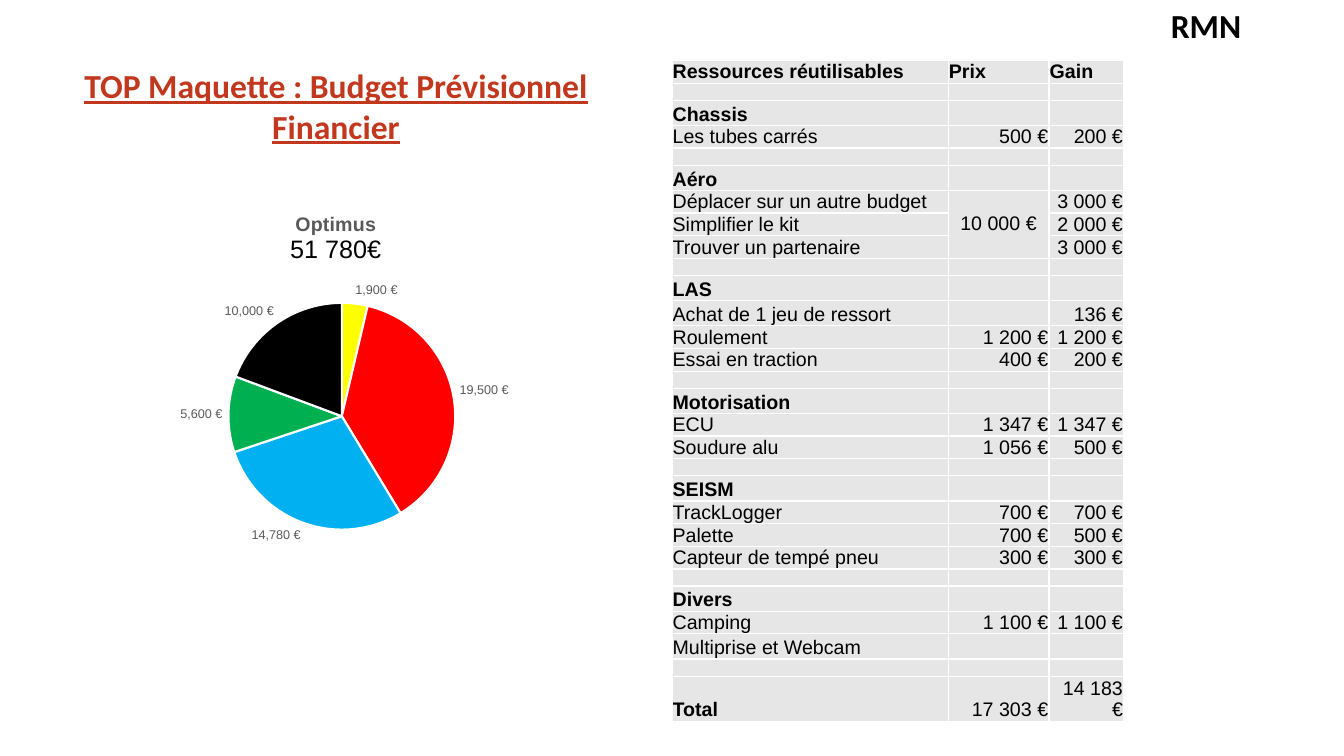
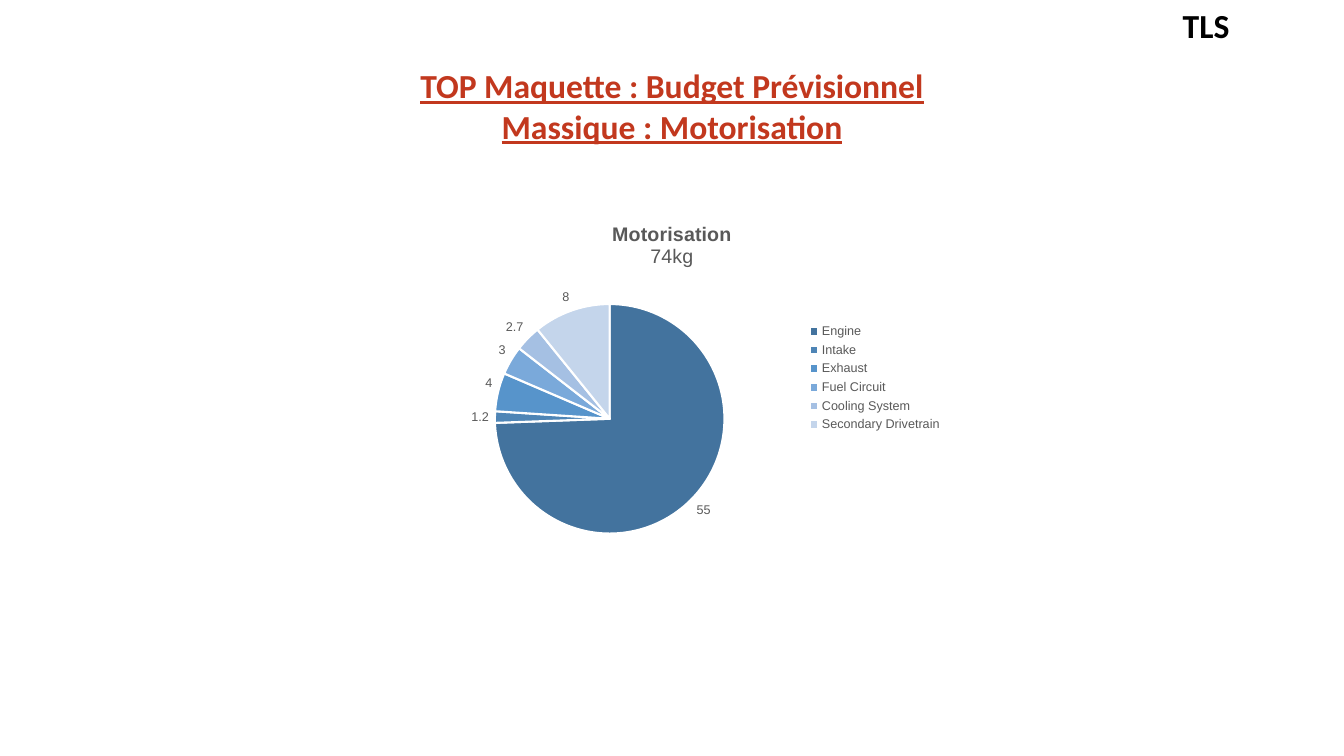
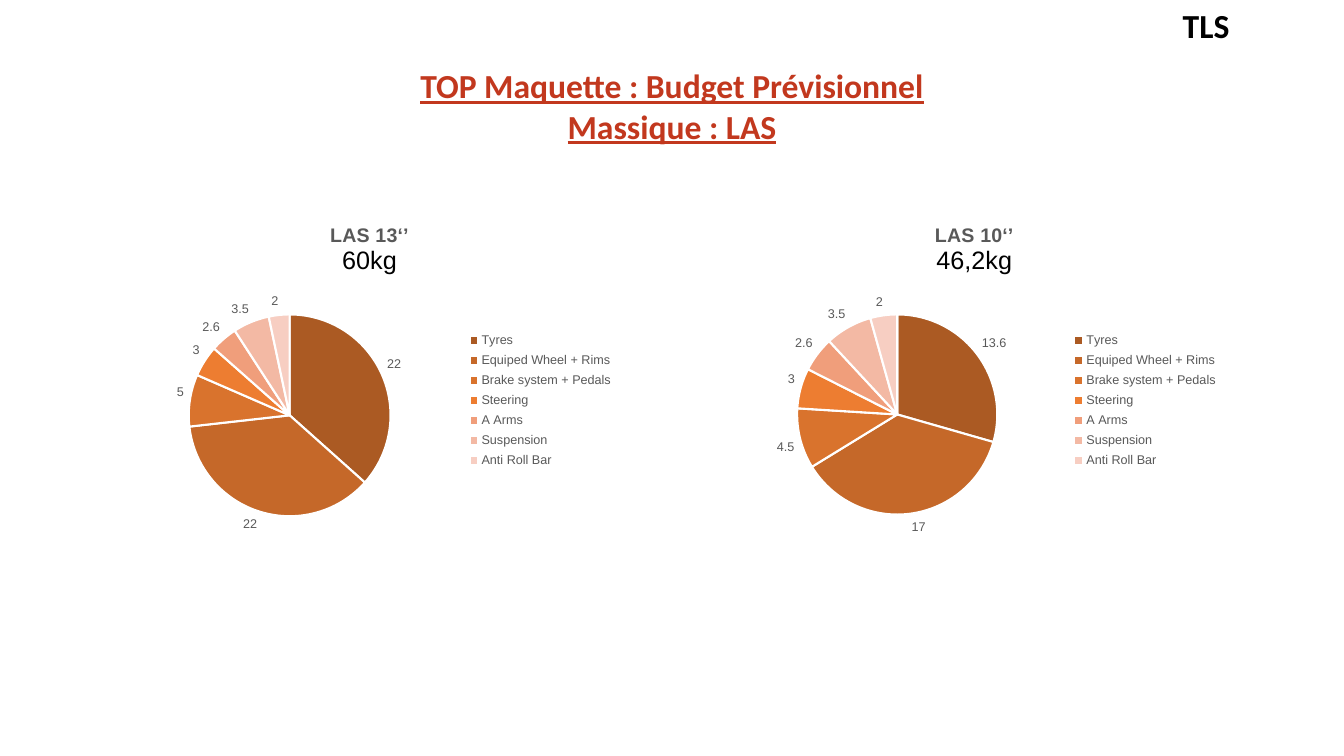
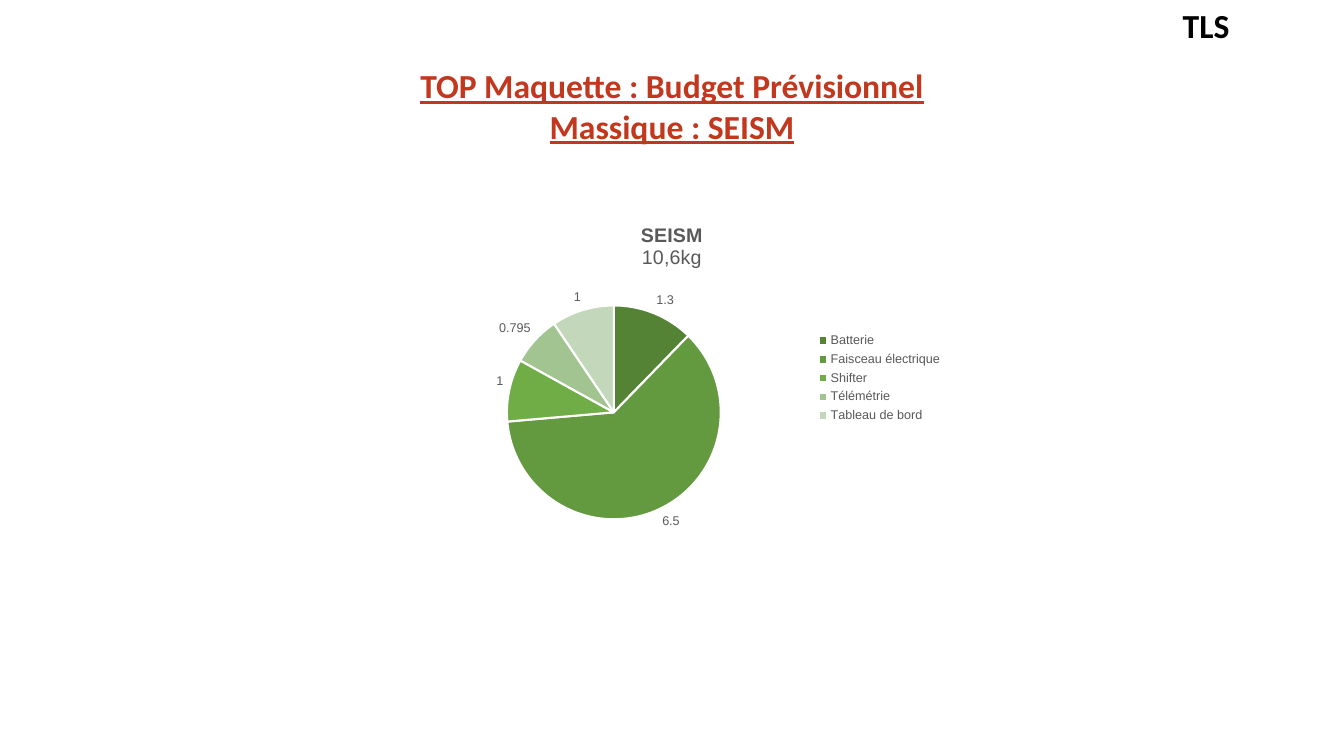
from pptx import Presentation
from pptx.chart.data import CategoryChartData
from pptx.dml.color import RGBColor
from pptx.enum import chart as charts, text
from pptx.oxml import parse_xml
from pptx.oxml.ns import nsdecls, qn
from pptx.util import Pt

WHITE = RGBColor(0xFF, 0xFF, 0xFF)
BLACK = RGBColor(0, 0, 0)
RED = RGBColor(0xC2, 0x38, 0x1E)
GREY = RGBColor(0x59, 0x59, 0x59)
CELL_GREY = RGBColor(0xE6, 0xE6, 0xE6)

BUDGET_COLORS = [RGBColor.from_string(c) for c in "FFFF00 FF0000 00B0F0 00B050 000000".split()]
BLUES = [RGBColor.from_string(c) for c in "43739E 4E85B6 5794CB 7AA9DA A5C0E3 C4D5EB".split()]
ORANGES = [RGBColor.from_string(c)
           for c in "AB5A23 C56829 D9732D ED7D31 F09E7B F3B9A4 F7CEC2".split()]
GREENS = [RGBColor.from_string(c) for c in "558336 639A3F 70AD47 A1C490 C3D8BB".split()]

SLIDE_WIDTH, SLIDE_HEIGHT = 960, 540
TITLE_FONT = {"name": "Calibri", "size": Pt(24), "bold": True}
CELL_FONT = {"name": "Arial", "size": Pt(14), "color": BLACK}
CELL_LINE = 15.4
CHART_HEADING = {"name": "Arial", "size": Pt(14), "bold": True, "color": GREY}
CHART_TOTAL = {**CHART_HEADING, "bold": False}
LARGE_TOTAL = {**CHART_TOTAL, "size": Pt(18), "color": BLACK}
LABEL_FONT = {"name": "Arial", "size": Pt(9), "color": GREY}

BLANK = ("", "", "")
MERGED = None  # continues the cell above
RESOURCES = [
    ("Ressources réutilisables", "Prix", "Gain"), BLANK,
    ("Chassis", "", ""),
    ("Les tubes carrés", "500 €", "200 €"), BLANK,
    ("Aéro", "", ""),
    ("Déplacer sur un autre budget", "10 000 €", "3 000 €"),
    ("Simplifier le kit", MERGED, "2 000 €"),
    ("Trouver un partenaire", MERGED, "3 000 €"), BLANK,
    ("LAS", "", ""),
    ("Achat de 1 jeu de ressort", "", "136 €"),
    ("Roulement", "1 200 €", "1 200 €"),
    ("Essai en traction", "400 €", "200 €"), BLANK,
    ("Motorisation", "", ""),
    ("ECU", "1 347 €", "1 347 €"),
    ("Soudure alu", "1 056 €", "500 €"), BLANK,
    ("SEISM", "", ""),
    ("TrackLogger", "700 €", "700 €"),
    ("Palette", "700 €", "500 €"),
    ("Capteur de tempé pneu", "300 €", "300 €"), BLANK,
    ("Divers", "", ""),
    ("Camping", "1 100 €", "1 100 €"),
    ("Multiprise et Webcam", "", ""), BLANK,
    ("Total", "17 303 €", "14 183 €"),
]
BOLD_CELLS = {"Ressources réutilisables", "Prix", "Gain", "Chassis", "Aéro", "LAS",
              "Motorisation", "SEISM", "Divers", "Total"}
ENGINE_PARTS = ["Engine", "Intake", "Exhaust", "Fuel Circuit", "Cooling System",
                "Secondary Drivetrain"]
LAS_PARTS = ["Tyres", "Equiped Wheel + Rims", "Brake system + Pedals", "Steering", "A Arms",
             "Suspension", "Anti Roll Bar"]
SEISM_PARTS = ["Batterie", "Faisceau électrique", "Shifter", "Télémétrie", "Tableau de bord"]


def set_font(font, style):
    for name, value in style.items():
        if name == "color":
            font.color.rgb = value
        else:
            setattr(font, name, value)


def row_height(row):
    if row[0] == "Total":
        return 32.2
    if row == BLANK:
        return 12.2
    return 18 if "" in row else 16.2


def manual_layout(chart_box, part_box, target=""):
    """Place a chart part, given in slide points, as fractions of its chart."""
    left, top, width, height = chart_box
    part_left, part_top, part_width, part_height = part_box
    fractions = {"x": (part_left - left) / width, "y": (part_top - top) / height,
                 "w": part_width / width, "h": part_height / height}
    sizes = "".join(f'<c:{key} val="{value:.4f}"/>' for key, value in fractions.items())
    return parse_xml(
        f'<c:layout {nsdecls("c")}><c:manualLayout>{target}'
        f'<c:xMode val="edge"/><c:yMode val="edge"/>{sizes}</c:manualLayout></c:layout>')


class Deck:
    def __init__(self):
        self.presentation = Presentation()
        self.presentation.slide_width = Pt(SLIDE_WIDTH)
        self.presentation.slide_height = Pt(SLIDE_HEIGHT)
        self.slide = None

    def add_slide(self, subtitle, owner, title_width=SLIDE_WIDTH):
        self.slide = self.presentation.slides.add_slide(self.presentation.slide_layouts[6])
        self.text_box((0, 43, title_width, 65.5),
                      ["TOP Maquette : Budget Prévisionnel", subtitle],
                      {**TITLE_FONT, "underline": True, "color": RED})
        self.text_box((828.7, 0, 65.5, 36), [owner], {**TITLE_FONT, "color": BLACK})

    def text_box(self, box, lines, style):
        frame = self.slide.shapes.add_textbox(*map(Pt, box)).text_frame
        frame.word_wrap = True
        self.write_lines(frame, [(line, style) for line in lines])

    def write_lines(self, frame, lines):
        for index, (line, style) in enumerate(lines):
            paragraph = frame.paragraphs[0] if index == 0 else frame.add_paragraph()
            paragraph.alignment = text.PP_ALIGN.CENTER
            run = paragraph.add_run()
            run.text = line
            set_font(run.font, style)

    def pie(self, box, disc, title, values, colors, categories=None,
            total_style=CHART_TOTAL, number_format="General", legend_box=None):
        """Draw a pie; disc is the left, top and diameter of the circle on the slide."""
        data = CategoryChartData()
        data.categories = categories or [str(i + 1) for i in range(len(values))]
        data.add_series("Series 1", values)
        chart = self.slide.shapes.add_chart(
            charts.XL_CHART_TYPE.PIE, *map(Pt, box), data).chart
        set_font(chart.font, {"name": "Arial", "size": Pt(10), "color": BLACK})
        chart.has_title = True
        self.write_lines(chart.chart_title.text_frame,
                         zip(title, (CHART_HEADING, total_style)))
        chart.chart_title.include_in_layout = False
        chart.has_legend = categories is not None
        if chart.has_legend:
            self.style_legend(chart.legend, box, legend_box)

        pie = chart.plots[0]
        pie.vary_by_categories = True
        pie.has_data_labels = True
        labels = pie.data_labels
        for name, value in {"show_value": True, "show_percentage": False,
                            "position": charts.XL_LABEL_POSITION.OUTSIDE_END,
                            "number_format": number_format,
                            "number_format_is_linked": False}.items():
            setattr(labels, name, value)
        set_font(labels.font, LABEL_FONT)
        for body in labels._element.iter(qn("a:bodyPr")):
            body.set("wrap", "square")
        for index, color in enumerate(colors):
            slice_format = pie.series[0].points[index].format
            slice_format.fill.solid()
            slice_format.fill.fore_color.rgb = color
            slice_format.line.color.rgb = WHITE
            slice_format.line.width = Pt(1.5)

        left, top, diameter = disc
        area = chart._chartSpace.chart.plotArea
        for layout in area.findall(qn("c:layout")):
            area.remove(layout)
        area.insert(0, manual_layout(box, (left, top, diameter, diameter),
                                     '<c:layoutTarget val="inner"/>'))

    def style_legend(self, legend, chart_box, legend_box):
        legend.position = charts.XL_LEGEND_POSITION.RIGHT
        legend.include_in_layout = False
        set_font(legend.font, LABEL_FONT)
        if legend_box:
            element = legend._element
            for layout in element.findall(qn("c:layout")):
                element.remove(layout)
            element.find(qn("c:legendPos")).addnext(manual_layout(chart_box, legend_box))

    def table(self, left, top, widths, rows):
        heights = [row_height(row) for row in rows]
        table = self.slide.shapes.add_table(
            len(rows), len(widths), Pt(left), Pt(top), Pt(sum(widths)), Pt(sum(heights))).table
        table.first_row = table.horz_banding = False
        for column, width in zip(table.columns, widths):
            column.width = Pt(width)
        for r, (row, height) in enumerate(zip(rows, heights)):
            table.rows[r].height = Pt(height)
            for c, value in enumerate(row):
                self.fill_cell(table.cell(r, c), value, c > 0 and r > 0)
        for c in range(len(widths)):
            merged = [r for r, row in enumerate(rows) if row[c] is MERGED]
            if merged:
                origin = table.cell(merged[0] - 1, c)
                origin.merge(table.cell(merged[-1], c))
                origin.vertical_anchor = text.MSO_ANCHOR.MIDDLE
                origin.text_frame.paragraphs[0].alignment = text.PP_ALIGN.CENTER

    def fill_cell(self, cell, value, is_amount):
        for name, margin in {"left": 0.5, "right": 0.5, "top": 0, "bottom": 0}.items():
            setattr(cell, f"margin_{name}", Pt(margin))
        cell.vertical_anchor = text.MSO_ANCHOR.BOTTOM
        paragraph = cell.text_frame.paragraphs[0]
        if value:
            paragraph.alignment = text.PP_ALIGN.RIGHT if is_amount else text.PP_ALIGN.LEFT
            paragraph.line_spacing = Pt(CELL_LINE)
            run = paragraph.add_run()
            run.text = value
            set_font(run.font, {**CELL_FONT, "bold": value in BOLD_CELLS})
        else:
            paragraph._p.append(parse_xml(f'<a:endParaRPr {nsdecls("a")} sz="800"/>'))
        properties = cell._tc.get_or_add_tcPr()
        for side in ("lnL", "lnR", "lnT", "lnB"):
            properties.append(parse_xml(
                f'<a:{side} {nsdecls("a")} w="{Pt(1)}"><a:solidFill>'
                f'<a:srgbClr val="{WHITE}"/></a:solidFill></a:{side}>'))
        cell.fill.solid()
        cell.fill.fore_color.rgb = CELL_GREY


def main():
    deck = Deck()

    deck.add_slide("Financier", "RMN", SLIDE_WIDTH / 2)
    deck.table(480, 43.2, [197.3, 72, 53.3], RESOURCES)
    deck.pie((98, 139.7, 283.7, 260.6), (163.2, 216.4, 162), ("Optimus", "51 780€"),
             [1900, 19500, 14780, 5600, 10000], BUDGET_COLORS,
             total_style=LARGE_TOTAL, number_format='#,##0\\ "€"')

    deck.add_slide("Massique : Motorisation", "TLS")
    deck.pie((279.8, 147.6, 400.3, 244.8), (353.5, 217.2, 164), ("Motorisation", "74kg"),
             [55, 1.2, 4, 3, 2.7, 8], BLUES, ENGINE_PARTS)

    deck.add_slide("Massique : LAS", "TLS")
    for left, disc, title, values in (
            (63.4, (134.8, 224.6, 144.2), ("LAS 13‘’", "60kg"), [22, 22, 5, 3, 2.6, 3.5, 2]),
            (495.4, (569.4, 224.6, 143), ("LAS 10‘’", "46,2kg"),
             [13.6, 17, 4.5, 3, 2.6, 3.5, 2])):
        deck.pie((left, 148.3, 401, 243.4), disc, title, values, ORANGES, LAS_PARTS,
                 total_style=LARGE_TOTAL, legend_box=(left + 266.7, 234, 112, 104.3))

    deck.add_slide("Massique : SEISM", "TLS")
    deck.pie((279.4, 148.1, 401, 244), (362.1, 218.2, 152.8), ("SEISM", "10,6kg"),
             [1.3, 6.5, 1, 0.795, 1], GREENS, SEISM_PARTS)

    deck.presentation.save("out.pptx")


if __name__ == "__main__":
    main()
